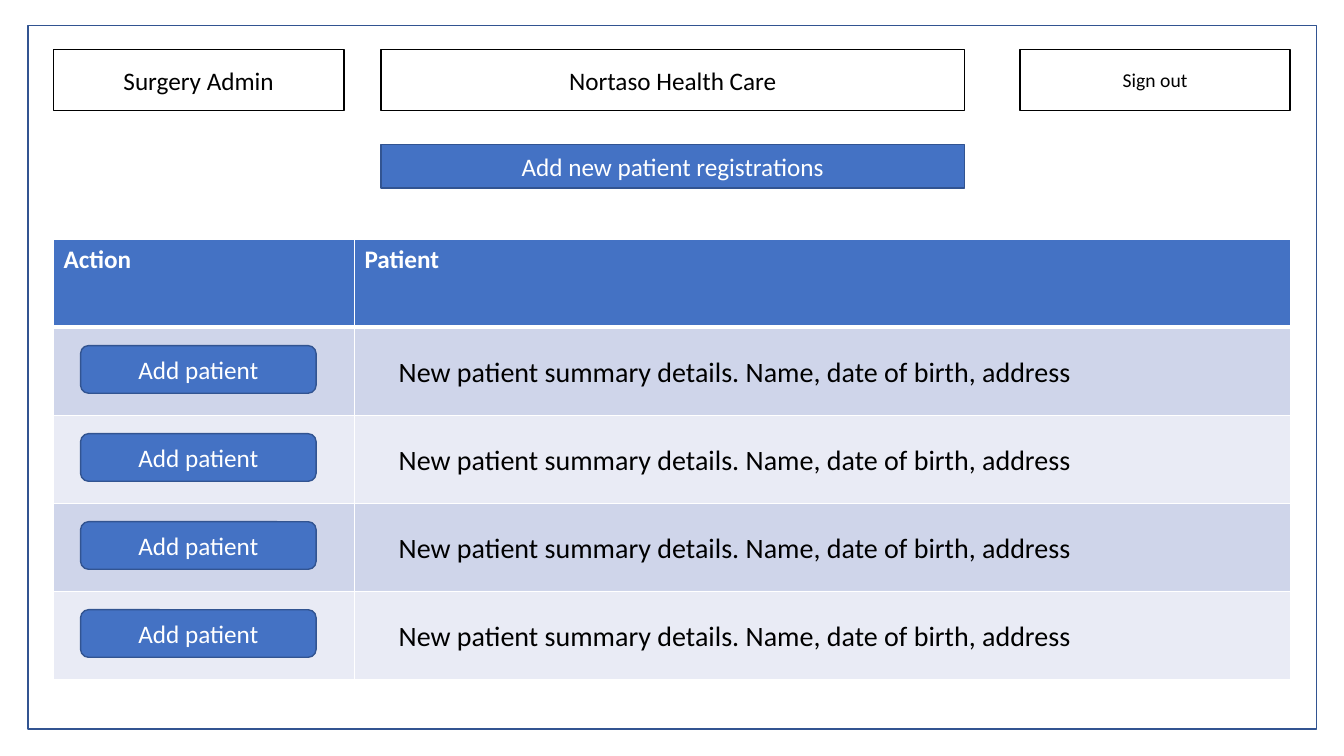
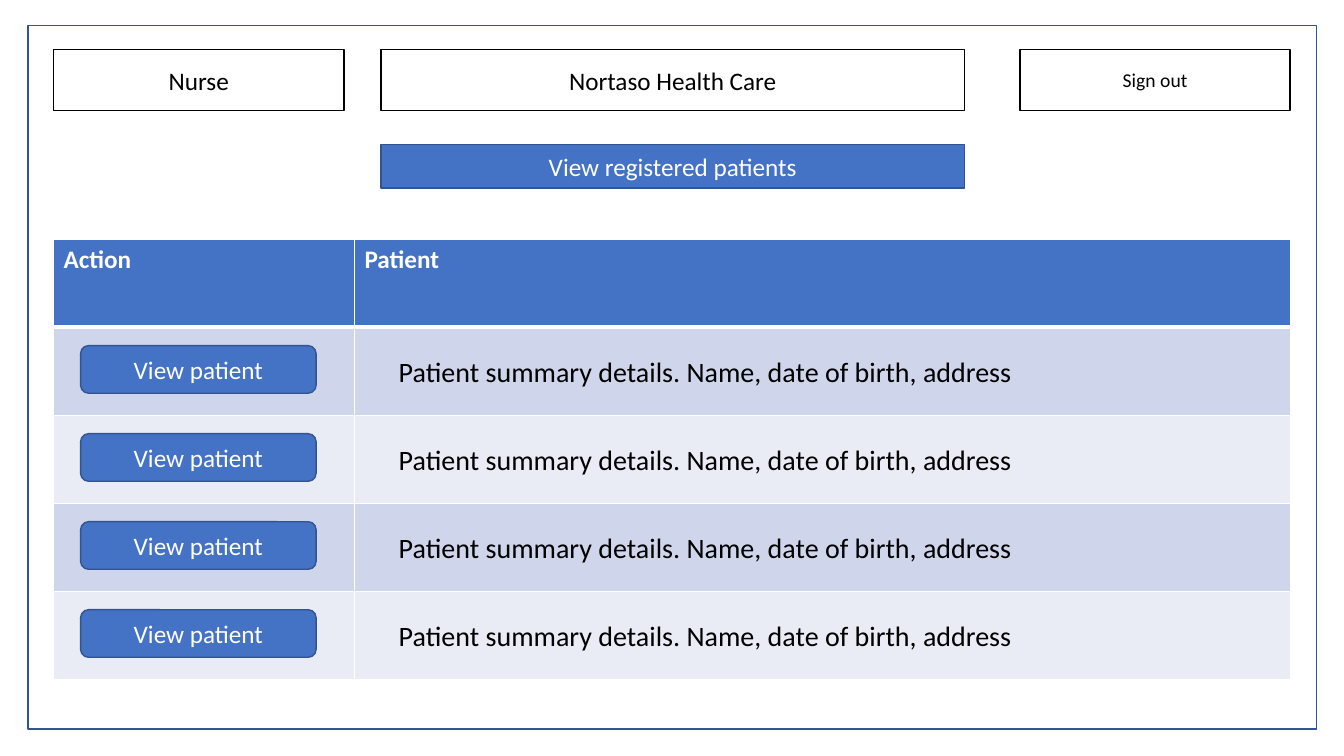
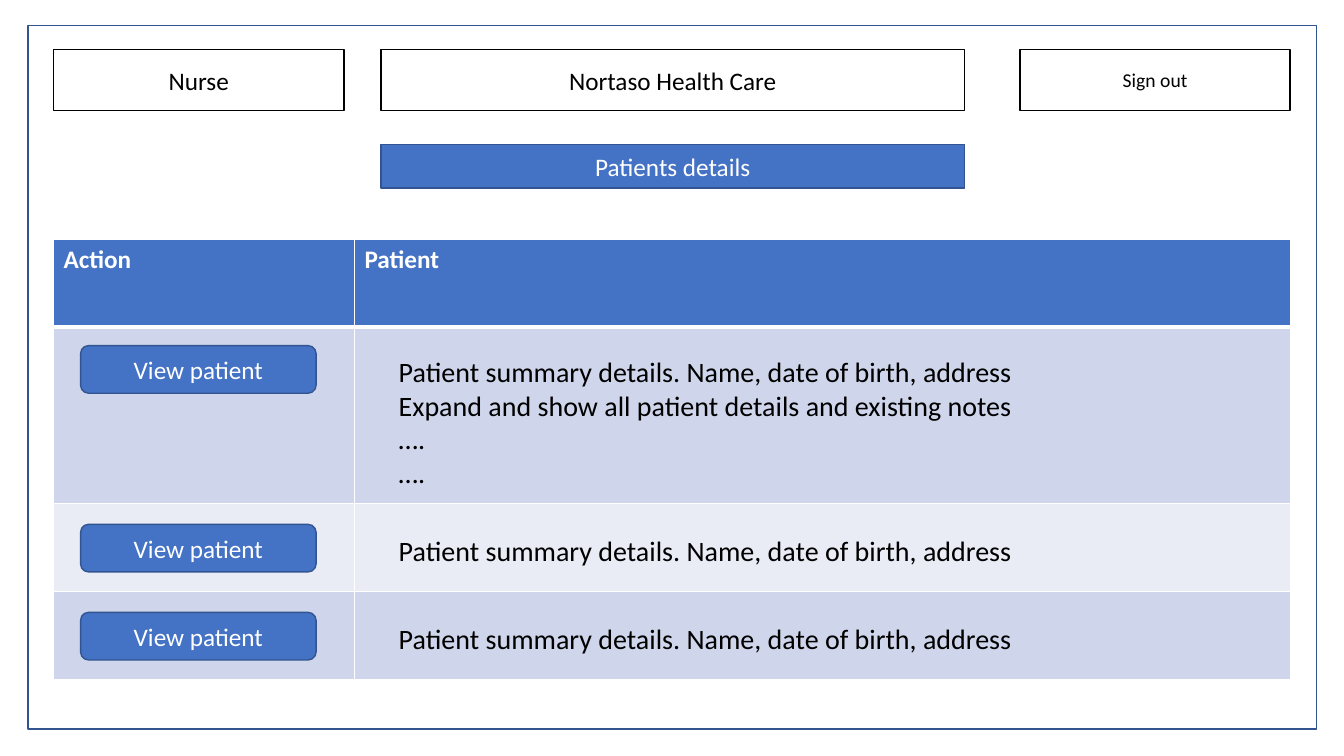
from dataclasses import dataclass

from lxml import etree
from pptx import Presentation
from pptx.dml.color import RGBColor
from pptx.enum.shapes import MSO_SHAPE
from pptx.enum.text import MSO_ANCHOR, MSO_AUTO_SIZE, PP_ALIGN
from pptx.oxml.ns import qn
from pptx.util import Pt

RECTANGLE, ROUNDED = MSO_SHAPE.RECTANGLE, MSO_SHAPE.ROUNDED_RECTANGLE
LEFT, CENTER = PP_ALIGN.LEFT, PP_ALIGN.CENTER
TOP, MIDDLE = MSO_ANCHOR.TOP, MSO_ANCHOR.MIDDLE
FIT_SHAPE = MSO_AUTO_SIZE.SHAPE_TO_FIT_TEXT

SUMMARY = "Patient summary details. Name, date of birth, address"
NEW_SUMMARY = "New patient summary details. Name, date of birth, address"
EXPANDED = [SUMMARY, "Expand and show all patient details and existing notes", "….", "…."]
COMPANY = "Nortaso Health Care"
COLUMN_TITLES = ("Action", "Patient")

SCREENS = [
    {"role": "Surgery Admin", "title": "Add new patient registrations",
     "action": "Add patient", "patients": [[NEW_SUMMARY]] * 4},
    {"role": "Nurse", "title": "View registered patients",
     "action": "View patient", "patients": [[SUMMARY]] * 4},
    {"role": "Nurse", "title": "Patients details",
     "action": "View patient", "patients": [EXPANDED, [SUMMARY], [SUMMARY]],
     "later_rows_drop": 1.9},
]


@dataclass(frozen=True)
class Theme:
    font: str = "Calibri"
    white: str = "FFFFFF"
    black: str = "000000"
    accent: str = "4472C4"
    outline: str = "325491"
    bands: tuple = ("CFD5EA", "E9EBF5")
    small: int = 14
    label: int = 18
    body: int = 20


THEME = Theme()
SLIDE_SIZE = (960, 540)
FRAME = (20.1, 18, 920.2, 502.6)
HEADER_TOP, HEADER_HEIGHT = 35.4, 43.4
ROLE_SPAN, COMPANY_SPAN, SIGN_OUT_SPAN = (38.2, 207.4), (272, 417), (728.6, 193)
TITLE_TOP, TITLE_HEIGHT = 103.4, 31
TABLE_LEFT, TABLE_TOP = 38.2, 170.9
COLUMN_WIDTHS = (215, 668.5)
ROW_HEIGHT = 62.88
BUTTON_LEFT, BUTTON_WIDTH, BUTTON_HEIGHT, BUTTON_INSET = 57.6, 168.2, 34, 13.1
SUMMARY_LEFT, SUMMARY_WIDTH, SUMMARY_INSET = 277.7, 500, 16
SUMMARY_PADDING, LINE_HEIGHT = 7.2, 24.3


def rgb(color):
    return RGBColor.from_string(color)


def points(box):
    return [Pt(length) for length in box]


def write_text(text_frame, lines, size=THEME.label, color=THEME.black,
               bold=False, align=LEFT, anchor=TOP):
    text_frame.vertical_anchor = anchor
    for index, line in enumerate(lines):
        paragraph = text_frame.add_paragraph() if index else text_frame.paragraphs[0]
        paragraph.alignment = align
        run = paragraph.add_run()
        run.text = line
        run.font.name = THEME.font
        run.font.size = Pt(size)
        run.font.bold = bold
        run.font.color.rgb = rgb(color)


def add_box(slide, box, text=None, kind=RECTANGLE, fill=THEME.white,
            line=THEME.black, color=THEME.black, size=THEME.label):
    shape = slide.shapes.add_shape(kind, *points(box))
    shape.shadow.inherit = False
    shape.fill.solid()
    shape.fill.fore_color.rgb = rgb(fill)
    shape.line.color.rgb = rgb(line)
    shape.line.width = Pt(1)
    if text:
        shape.text_frame.word_wrap = True
        write_text(shape.text_frame, [text], size=size, color=color,
                   align=CENTER, anchor=MIDDLE)


def add_accent_box(slide, box, text, kind=RECTANGLE):
    add_box(slide, box, text, kind, THEME.accent, THEME.outline, THEME.white)


def style_cell(cell, fill, top=1, bottom=1):
    properties = cell._tc.get_or_add_tcPr()
    for side, width in (("L", 1), ("R", 1), ("T", top), ("B", bottom)):
        border = etree.SubElement(properties, qn(f"a:ln{side}"), w=str(Pt(width)))
        solid = etree.SubElement(border, qn("a:solidFill"))
        etree.SubElement(solid, qn("a:srgbClr"), val=THEME.white)
    cell.fill.solid()
    cell.fill.fore_color.rgb = rgb(fill)


def add_patient_table(slide, row_heights):
    box = (TABLE_LEFT, TABLE_TOP, sum(COLUMN_WIDTHS), sum(row_heights))
    table = slide.shapes.add_table(len(row_heights), len(COLUMN_WIDTHS), *points(box)).table
    for column, width in zip(table.columns, COLUMN_WIDTHS):
        column.width = Pt(width)
    for index, (row, height) in enumerate(zip(table.rows, row_heights)):
        row.height = Pt(height)
        for cell, title in zip(row.cells, COLUMN_TITLES):
            if index == 0:
                style_cell(cell, THEME.accent, bottom=3)
                write_text(cell.text_frame, [title], color=THEME.white, bold=True)
            else:
                style_cell(cell, THEME.bands[(index - 1) % 2], top=3 if index == 1 else 1)


def add_summary(slide, top, lines):
    height = SUMMARY_PADDING + LINE_HEIGHT * len(lines)
    shape = slide.shapes.add_textbox(*points((SUMMARY_LEFT, top, SUMMARY_WIDTH, height)))
    shape.text_frame.word_wrap = False
    shape.text_frame.auto_size = FIT_SHAPE
    write_text(shape.text_frame, lines, size=THEME.body)


def add_screen(presentation, role, title, action, patients, later_rows_drop=0):
    slide = presentation.slides.add_slide(presentation.slide_layouts[6])
    add_box(slide, FRAME, line=THEME.outline)
    for (left, width), text, size in (
        (SIGN_OUT_SPAN, "Sign out", THEME.small),
        (COMPANY_SPAN, COMPANY, THEME.label),
        (ROLE_SPAN, role, THEME.label),
    ):
        add_box(slide, (left, HEADER_TOP, width, HEADER_HEIGHT), text, size=size)

    patient_heights = [ROW_HEIGHT * (2 if len(lines) > 1 else 1) for lines in patients]
    add_patient_table(slide, [ROW_HEIGHT] + patient_heights)

    row_top = TABLE_TOP + ROW_HEIGHT
    for index, (lines, height) in enumerate(zip(patients, patient_heights)):
        top = row_top + (later_rows_drop if index else 0)
        add_accent_box(slide, (BUTTON_LEFT, top + BUTTON_INSET, BUTTON_WIDTH, BUTTON_HEIGHT),
                       action, ROUNDED)
        add_summary(slide, top + SUMMARY_INSET, lines)
        row_top += height

    left, width = COMPANY_SPAN
    add_accent_box(slide, (left, TITLE_TOP, width, TITLE_HEIGHT), title)


def main():
    presentation = Presentation()
    presentation.slide_width, presentation.slide_height = points(SLIDE_SIZE)
    for screen in SCREENS:
        add_screen(presentation, **screen)
    presentation.save("out.pptx")


if __name__ == "__main__":
    main()
